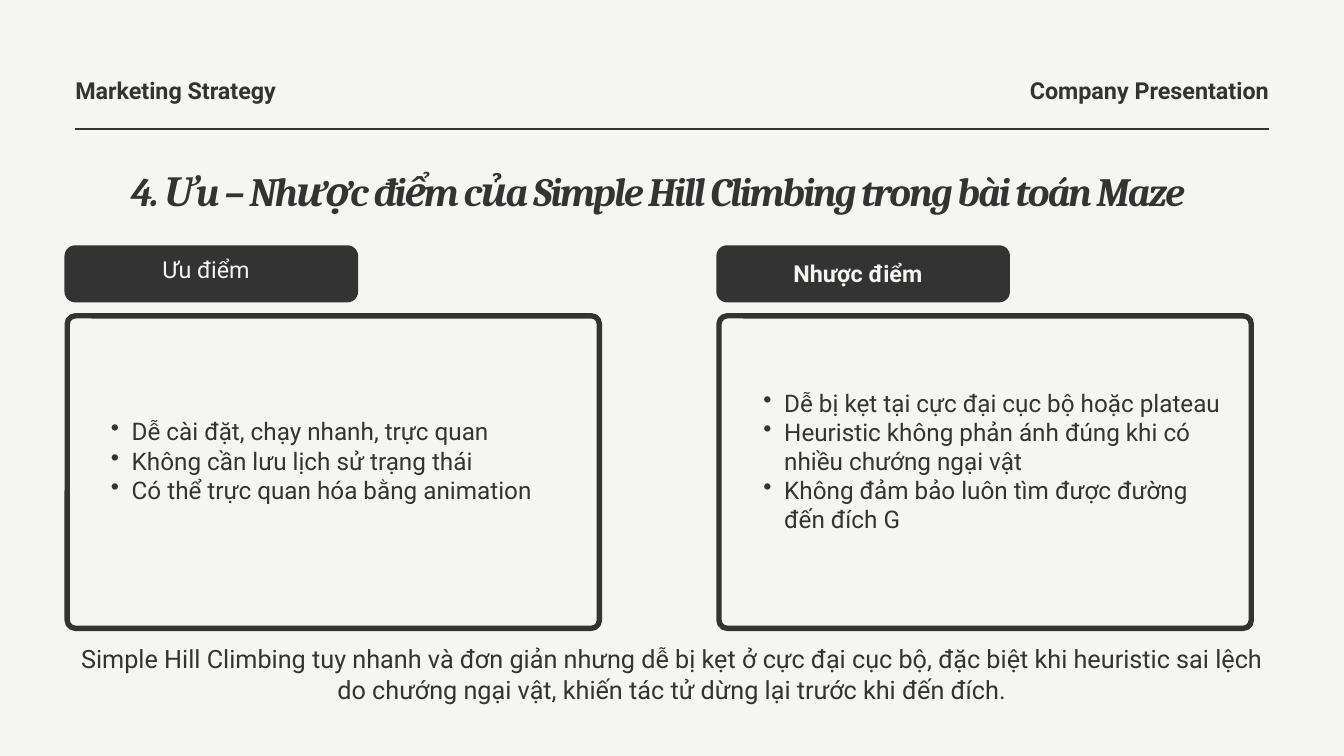
from lxml import etree
from pptx import Presentation
from pptx import util as u
from pptx.dml.color import RGBColor
from pptx.enum import shapes, text
from pptx.oxml import ns

INK = RGBColor(0x33, 0x33, 0x33)
PAPER = RGBColor(0xF5, 0xF5, 0xF4)
LEFT = 1.12
RIGHT = 18.88
STROKE = 0.08

HEADS = [
    ("Marketing Strategy", LEFT, text.PP_ALIGN.LEFT),
    ("Company Presentation", 13.37, text.PP_ALIGN.RIGHT),
]
CARDS = [
    dict(left=0.96, name="Ưu điểm", top=3.8, bold=False, inset=0.39, base=6.2, items=[
        "Dễ cài đặt, chạy nhanh, trực quan",
        "Không cần lưu lịch sử trạng thái",
        "Có thể trực quan hóa bằng animation",
    ]),
    dict(left=10.66, name="Nhược điểm", top=3.86, bold=True, inset=0.4, base=5.77, items=[
        "Dễ bị kẹt tại cực đại cục bộ hoặc plateau",
        "Heuristic không phản ánh đúng khi có nhiều chướng ngại vật",
        "Không đảm bảo luôn tìm được đường đến đích G",
    ]),
]
CLOSING = (
    "Simple Hill Climbing tuy nhanh và đơn giản nhưng dễ bị kẹt ở cực đại cục bộ, "
    "đặc biệt khi heuristic sai lệch do chướng ngại vật, "
    "khiến tác tử dừng lại trước khi đến đích."
)


class Deck:
    font = "Roboto"

    def __init__(self, wide, high):
        self.prs = Presentation()
        self.prs.slide_width = u.Inches(wide)
        self.prs.slide_height = u.Inches(high)
        self.slide = self.prs.slides.add_slide(self.prs.slide_layouts[5])
        fill = self.slide.background.fill
        fill.solid()
        fill.fore_color.rgb = PAPER

    def typeset(self, shape, lines, lead, align=text.PP_ALIGN.LEFT, color=INK, **style):
        frame = shape.text_frame
        layout = dict(word_wrap=True, auto_size=text.MSO_AUTO_SIZE.NONE,
                      vertical_anchor=text.MSO_ANCHOR.TOP, margin_left=0,
                      margin_right=0, margin_top=0, margin_bottom=0)
        for key, value in layout.items():
            setattr(frame, key, value)
        frame.text = "\n".join(lines)
        for para in frame.paragraphs:
            para.alignment = align
            para.line_spacing = u.Pt(lead)
            font = para.runs[0].font
            font.color.rgb = color
            for key, value in {"name": self.font, **style}.items():
                setattr(font, key, value)
        return frame

    def label(self, box, lines, lead, **style):
        shape = self.slide.shapes.add_textbox(*map(u.Inches, box))
        return self.typeset(shape, lines, lead, **style)

    def title(self, box, line, lead, track, **style):
        shape = self.slide.shapes.title
        shape.left, shape.top, shape.width, shape.height = map(u.Inches, box)
        frame = self.typeset(shape, [line], lead, **style)
        frame.paragraphs[0].runs[0].font._element.set("spc", str(track))

    def bullets(self, box, items, lead, **style):
        frame = self.label(box, items, lead, **style)
        for para in frame.paragraphs:
            props = para._p.get_or_add_pPr()
            props.set("marL", str(u.Inches(0.61)))
            props.set("indent", str(u.Inches(-0.31)))
            etree.SubElement(props, ns.qn("a:buChar"), char="•")

    def panel(self, box, radius, solid):
        kind = shapes.MSO_SHAPE.ROUNDED_RECTANGLE
        shape = self.slide.shapes.add_shape(kind, *map(u.Inches, box))
        shape.shadow.inherit = False
        shape.adjustments[0] = radius / box[3]
        if solid:
            shape.fill.solid()
            shape.fill.fore_color.rgb = INK
            shape.line.fill.background()
        else:
            shape.fill.background()
            shape.line.color.rgb = INK
            shape.line.width = u.Inches(STROKE)

    def rule(self, left, right, top, width):
        ends = map(u.Inches, (left, top, right, top))
        line = self.slide.shapes.add_connector(shapes.MSO_CONNECTOR.STRAIGHT, *ends)
        line.line.color.rgb = INK
        line.line.width = u.Pt(width)
        etree.SubElement(line._element.spPr, ns.qn("a:effectLst"))


def main():
    deck = Deck(20, 11.25)
    center = text.PP_ALIGN.CENTER
    deck.rule(LEFT, RIGHT, 1.92, 2.25)
    for name, left, align in HEADS:
        deck.label((left, 1.06, 5.51, 0.47), [name], 35, align=align,
                   size=u.Pt(25), bold=True)
    deck.title((LEFT, 2.47, 17.33, 0.71),
               "4. Ưu – Nhược điểm của Simple Hill Climbing trong bài toán Maze",
               51.6, -210, align=center, name="Cambria", size=u.Pt(43),
               bold=True, italic=True)
    for card in CARDS:
        left = card["left"]
        half = STROKE / 2
        deck.panel((left + half, 4.66 + half, 8 - STROKE, 4.73 - STROKE), 0.12, False)
        deck.panel((left, 3.65, 4.37, 0.85), 0.16, True)
        deck.label((left, card["top"], 4.21, 0.42), [card["name"]], 30,
                   align=center, color=PAPER, size=u.Pt(25), bold=card["bold"])
        deck.bullets((left + card["inset"], card["base"], 7.21, 1.73),
                     card["items"], 31.2, size=u.Pt(26))
    deck.label((LEFT, 9.58, 17.75, 0.91), [CLOSING], 32.4, align=center, size=u.Pt(27))
    deck.prs.save("out.pptx")


if __name__ == "__main__":
    main()
